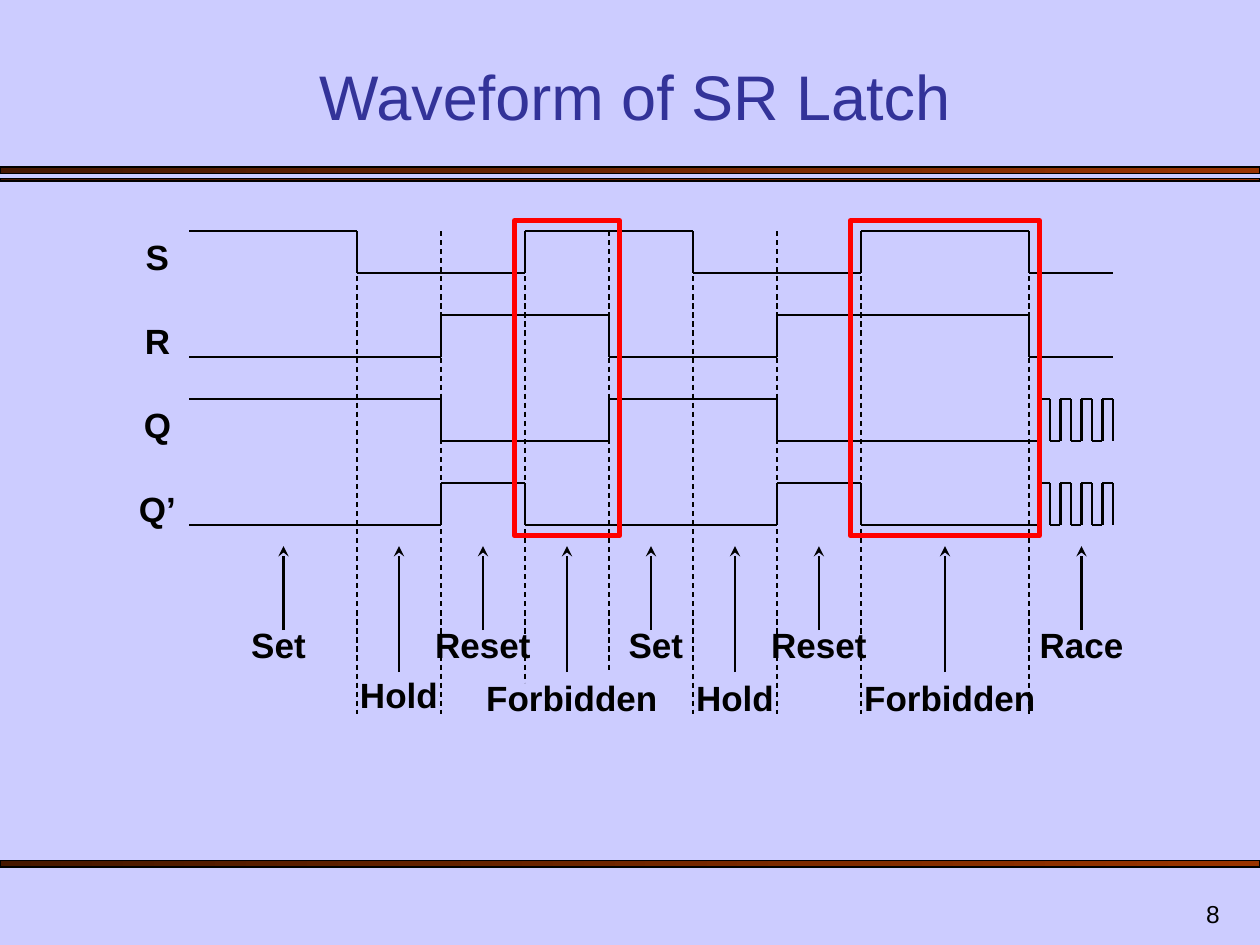
from lxml.etree import SubElement
from pptx import Presentation
from pptx.dml.color import RGBColor
from pptx.enum.dml import MSO_LINE
from pptx.enum.shapes import MSO_CONNECTOR, MSO_SHAPE
from pptx.enum.text import MSO_ANCHOR, PP_ALIGN
from pptx.oxml.ns import qn
from pptx.util import Cm, Pt

BACKGROUND = RGBColor(0xCC, 0xCC, 0xFF)
TITLE = RGBColor(0x33, 0x33, 0x99)
BLACK = RGBColor(0, 0, 0)
RED = RGBColor(0xFF, 0, 0)
RUST = RGBColor(0x99, 0x33, 0x00)
BROWN = RGBColor(0x46, 0x17, 0x00)

# Time grid, in centimetres: one step is a third of two inches.
STEP = 5.08 / 3
LEFT, TOP = 3.81, 4.66
SWING = STEP / 2
END = 11

RACE = [10.125 + i / 8 for i in range(8)]
# Name, level at the start (1 is high), times at which the level flips
WAVES = [
    ("S", 1, [2, 4, 6, 8, 10]),
    ("R", 0, [3, 5, 7, 10]),
    ("Q", 1, [3, 5, 7] + RACE),
    ("Q’", 0, [3, 4, 7, 8] + RACE),
]
# Time and lower end of each dashed guide
GUIDES = [(2, 14.4), (3, 14.4), (4, 13.76), (5, 13.55),
          (6, 14.4), (7, 14.4), (8, 14.4), (10, 14.4)]
# Text, time of the arrow, sideways shift, top and width of the label
STATES = [
    ("Set", 1.125, -0.1, 12.45, 2.75),
    ("Hold", 2.5, 0, 13.46, 2.96),
    ("Reset", 3.5, 0, 12.45, 2.96),
    ("Forbidden", 4.5, 0.1, 13.51, 4.02),
    ("Set", 5.5, 0.1, 12.45, 2.75),
    ("Hold", 6.5, 0, 13.51, 2.96),
    ("Reset", 7.5, 0, 12.45, 2.96),
    ("Forbidden", 9, 0.1, 13.51, 4.02),
    ("Race", 10.625, 0, 12.45, 2.96),
]


def time_x(t):
    return LEFT + t * STEP


def add_line(s, x1, y1, x2, y2, width=1.25, dashed=False, arrow=False):
    c = s.shapes.add_connector(MSO_CONNECTOR.STRAIGHT, Cm(x1), Cm(y1), Cm(x2), Cm(y2))
    c.line.color.rgb = BLACK
    c.line.width = Pt(width)
    if dashed:
        c.line.dash_style = MSO_LINE.DASH
    if arrow:
        SubElement(c.line._get_or_add_ln(), qn("a:tailEnd"), type="stealth")
    SubElement(c._element.spPr, qn("a:effectLst"))


def add_rect(s, x, y, w, h, color, width):
    sp = s.shapes.add_shape(MSO_SHAPE.RECTANGLE, Cm(x), Cm(y), Cm(w), Cm(h))
    sp.shadow.inherit = False
    sp.fill.background()
    sp.line.color.rgb = color
    sp.line.width = Pt(width)
    return sp


def add_bar(s, y, h):
    """Full-width rule with a brown gradient."""
    sp = add_rect(s, 0, y, 25.4, h, BLACK, 0.75)
    sp.fill.gradient()
    sp.fill.gradient_angle = 180
    for stop, color in zip(sp.fill.gradient_stops, (RUST, BROWN)):
        stop.color.rgb = color


def add_text(s, text, x, y, w, h=1.12, size=20, color=BLACK, bold=True,
             align=PP_ALIGN.CENTER, anchor=MSO_ANCHOR.TOP):
    tf = s.shapes.add_textbox(Cm(x), Cm(y), Cm(w), Cm(h)).text_frame
    tf.word_wrap = True
    tf.vertical_anchor = anchor
    tf.text = text
    p = tf.paragraphs[0]
    p.alignment = align
    font = p.runs[0].font
    font.name = "Arial"
    font.size = Pt(size)
    font.bold = bold
    font.color.rgb = color


def add_wave(s, y, level, flips):
    """Draw a two-level signal whose high level lies at y."""
    ys = (y + SWING, y)
    start = 0
    for t in flips:
        add_line(s, time_x(start), ys[level], time_x(t), ys[level])
        add_line(s, time_x(t), ys[1], time_x(t), ys[0])
        start, level = t, 1 - level
    if start < END:
        add_line(s, time_x(start), ys[level], time_x(END), ys[level])


def add_state_arrow(s, t, label_top):
    tail = 12.7 if label_top < 13 else 13.55
    add_line(s, time_x(t), tail, time_x(t), 11.01, arrow=True)


def add_forbidden_frame(s, t1, t2):
    margin = STEP / 8
    add_rect(s, time_x(t1) - margin, TOP - margin,
             (t2 - t1) * STEP + 2 * margin, 6.35, RED, 3)


def main():
    prs = Presentation()
    prs.slide_width, prs.slide_height = Cm(25.4), Cm(19.05)
    s = prs.slides.add_slide(prs.slide_layouts[6])
    s.background.fill.solid()
    s.background.fill.fore_color.rgb = BACKGROUND

    for y, h in ((3.37, 0.13), (3.6, 0.05), (17.35, 0.13)):
        add_bar(s, y, h)
    add_text(s, "Waveform of SR Latch", 1.47, 1.07, 22.66, 1.73, size=36,
             color=TITLE, bold=False, anchor=MSO_ANCHOR.BOTTOM)

    for row, (name, level, flips) in enumerate(WAVES):
        y = TOP + row * STEP
        add_wave(s, y, level, flips)
        add_text(s, name, 2.54, y - 0.04, 1.27)
    for t, bottom in GUIDES:
        add_line(s, time_x(t), TOP, time_x(t), bottom, width=0.75, dashed=True)
    for text, t, shift, top, w in STATES:
        add_text(s, text, time_x(t) + shift - w / 2, top, w)
        add_state_arrow(s, t, top)
    for t1, t2 in ((4, 5), (8, 10)):
        add_forbidden_frame(s, t1, t2)

    add_text(s, "8", 19.56, 17.78, 5.28, 1.07, size=14, bold=False,
             align=PP_ALIGN.RIGHT, anchor=MSO_ANCHOR.BOTTOM)
    prs.save("out.pptx")


if __name__ == "__main__":
    main()
